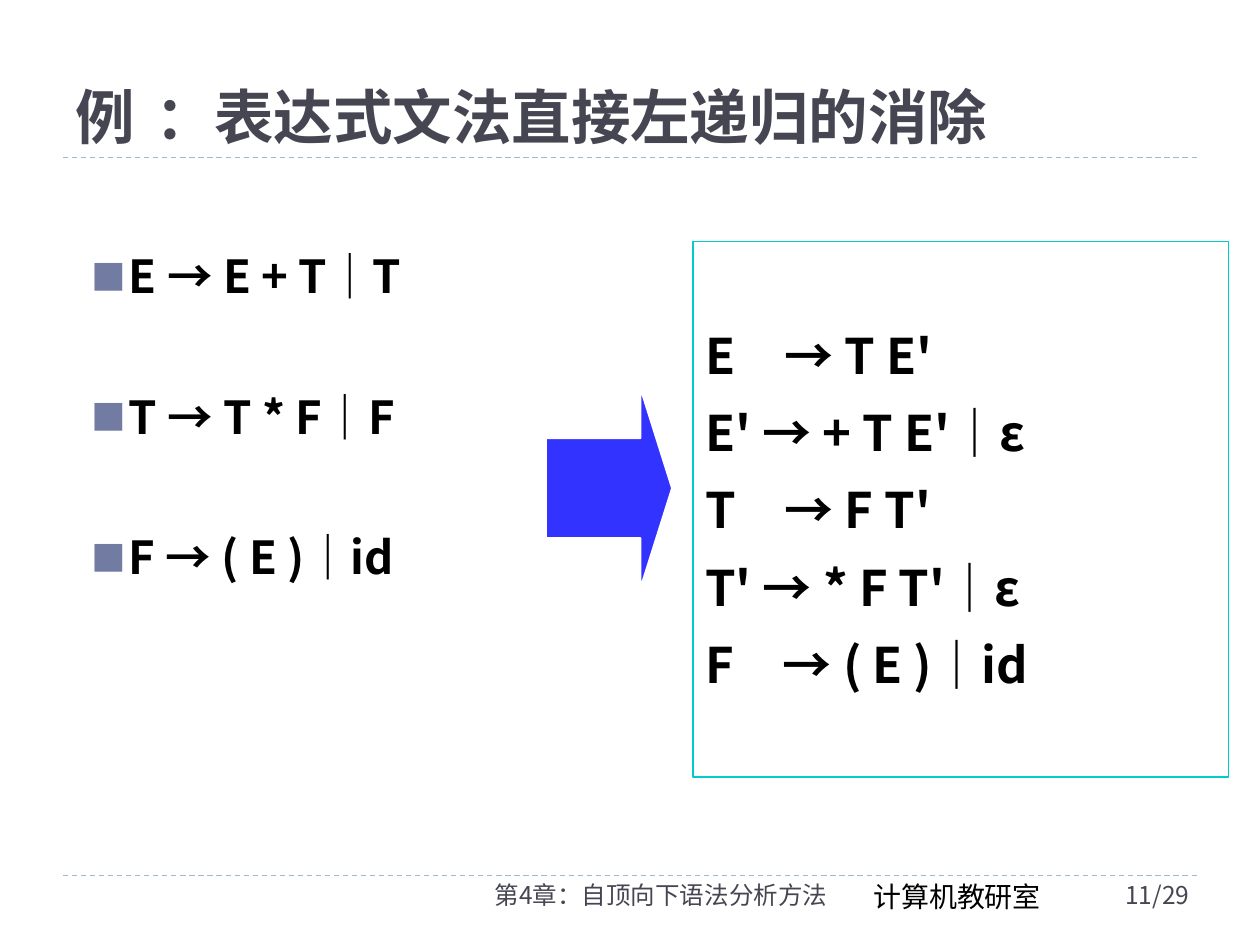
from lxml import etree
from pptx import Presentation
from pptx.dml.color import RGBColor
from pptx.enum.dml import MSO_LINE
from pptx.enum.shapes import MSO_CONNECTOR, MSO_SHAPE
from pptx.enum.text import MSO_ANCHOR, MSO_AUTO_SIZE, PP_ALIGN
from pptx.oxml.ns import qn
from pptx.util import Inches, Pt

BLACK = RGBColor(0x00, 0x00, 0x00)
WHITE = RGBColor(0xFF, 0xFF, 0xFF)
SLATE = RGBColor(0x46, 0x46, 0x53)
RULE = RGBColor(0x9F, 0xB8, 0xCD)
BULLET = RGBColor(0x72, 0x7C, 0xA3)
CYAN = RGBColor(0x00, 0xCC, 0xCC)
BLUE = RGBColor(0x33, 0x33, 0xFF)

TITLE_FONT = "TeX Gyre Bonum"
GRAMMAR_FONT = "Noto Sans CJK SC"
FOOTER_FONT = "Noto Sans CJK JP"

LEFT, RIGHT = PP_ALIGN.LEFT, PP_ALIGN.RIGHT
TOP, MIDDLE, BOTTOM = MSO_ANCHOR.TOP, MSO_ANCHOR.MIDDLE, MSO_ANCHOR.BOTTOM
DASH = MSO_LINE.DASH
STRAIGHT = MSO_CONNECTOR.STRAIGHT
RECTANGLE, RIGHT_ARROW = MSO_SHAPE.RECTANGLE, MSO_SHAPE.RIGHT_ARROW
NO_AUTOFIT = MSO_AUTO_SIZE.NONE

CELL = Inches(1) / 12  # the slide is a grid of 120 columns by 90 rows
FOOTER_ROW = 83.2


def cells(*counts):
    return [round(count * CELL) for count in counts]


class SlideBuilder:
    def __init__(self, deck):
        self.slide = deck.slides.add_slide(deck.slide_layouts[5])

    def fill_text(self, shape, lines, size, font_name, color=BLACK, bold=False,
                  align=LEFT, anchor=TOP, before=0, gap=0):
        """Fill a shape with lines; before precedes the first, gap the rest."""
        frame = shape.text_frame
        frame.word_wrap = True
        frame.auto_size = NO_AUTOFIT
        frame.vertical_anchor = anchor
        frame.text = "\n".join(lines)
        for index, para in enumerate(frame.paragraphs):
            para.alignment = align
            para.line_spacing = 1.0
            para.space_before = Pt(gap if index else before)
            font = para.font
            font.size, font.name, font.bold = Pt(size), font_name, bold
            font.color.rgb = color
            defaults = para._p.pPr.find(qn("a:defRPr"))
            east_asian = etree.Element(qn("a:ea"), typeface=font_name)
            defaults.find(qn("a:latin")).addnext(east_asian)
        return frame

    def title(self, text, area):
        shape = self.slide.shapes.title
        shape.left, shape.top, shape.width, shape.height = cells(*area)
        self.fill_text(shape, [text], 34, TITLE_FONT, SLATE, bold=True,
                       anchor=BOTTOM)

    def text(self, lines, area, size, font_name, **style):
        box = self.slide.shapes.add_textbox(*cells(*area))
        return self.fill_text(box, lines, size, font_name, **style)

    def bullets(self, lines, area, size, font_name, **style):
        frame = self.text(lines, area, size, font_name, **style)
        for para in frame.paragraphs:
            properties = para._p.pPr
            indent = Inches(0.3)
            properties.set("marL", str(indent))
            properties.set("indent", str(-indent))
            color = etree.Element(qn("a:buClr"))
            etree.SubElement(color, qn("a:srgbClr"), val=str(BULLET))
            marks = (color,
                     etree.Element(qn("a:buSzPct"), val="76000"),
                     etree.Element(qn("a:buFont"), typeface=font_name),
                     etree.Element(qn("a:buChar"), char="■"))
            defaults = properties.find(qn("a:defRPr"))
            for mark in marks:
                defaults.addprevious(mark)

    def shape(self, kind, area, fill, line, line_width):
        shape = self.slide.shapes.add_shape(kind, *cells(*area))
        shape.shadow.inherit = False
        shape.fill.solid()
        shape.fill.fore_color.rgb = fill
        shape.line.color.rgb = line
        shape.line.width = Pt(line_width)
        return shape

    def dashed_rule(self, row):
        rule = self.slide.shapes.add_connector(
            STRAIGHT, *cells(6, row, 114, row))
        rule.line.color.rgb = RULE
        rule.line.width = Pt(0.75)
        rule.line.dash_style = DASH
        etree.SubElement(rule._element.spPr, qn("a:effectLst"))


def main():
    deck = Presentation()
    deck.slide_width, deck.slide_height = cells(120, 90)
    page = SlideBuilder(deck)

    for row in (FOOTER_ROW + 0.2, 15):
        page.dashed_rule(row)
    page.title("例 ：表达式文法直接左递归的消除", (6, 2, 108, 13))

    page.bullets(["E → E + T｜T", "T → T * F｜F", "F → ( E )｜id"],
                 (7.5, 23, 48.6, 56), 26, GRAMMAR_FONT, bold=True,
                 before=6, gap=49.3)

    result = page.shape(RECTANGLE, (66, 23, 51, 51), WHITE, CYAN, 0.75)
    page.fill_text(result,
                   ["E　→ T E'", "E' → + T E'｜ε", "T　→ F T'",
                    "T' → * F T'｜ε", "F　→ ( E )｜id"],
                   28, GRAMMAR_FONT, bold=True, anchor=MIDDLE,
                   before=10.5, gap=10.5)

    arrow = page.shape(RIGHT_ARROW, (52, 37, 12, 19), BLUE, WHITE, 1)
    arrow.adjustments[0], arrow.adjustments[1] = 0.5, 0.25

    footers = (
        ("第4章：自顶向下语法分析方法", 34, 46, 14, SLATE, RIGHT),
        ("计算机教研室", 82, 20, 16, BLACK, LEFT),
        ("11/29", 106, 13, 14, SLATE, LEFT),
    )
    for text, column, width, size, color, align in footers:
        page.text([text], (column, FOOTER_ROW, width, 4.8), size,
                  FOOTER_FONT, color=color, align=align)

    deck.save("out.pptx")


if __name__ == "__main__":
    main()
